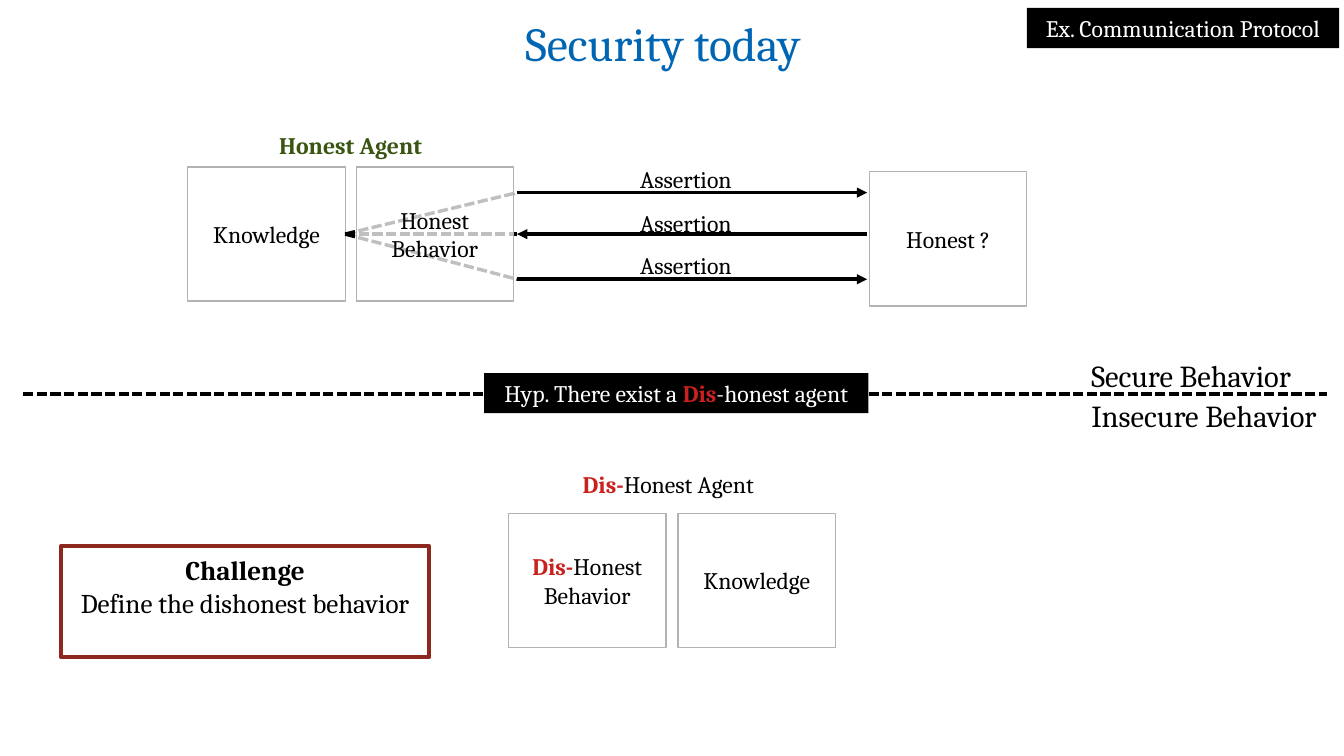
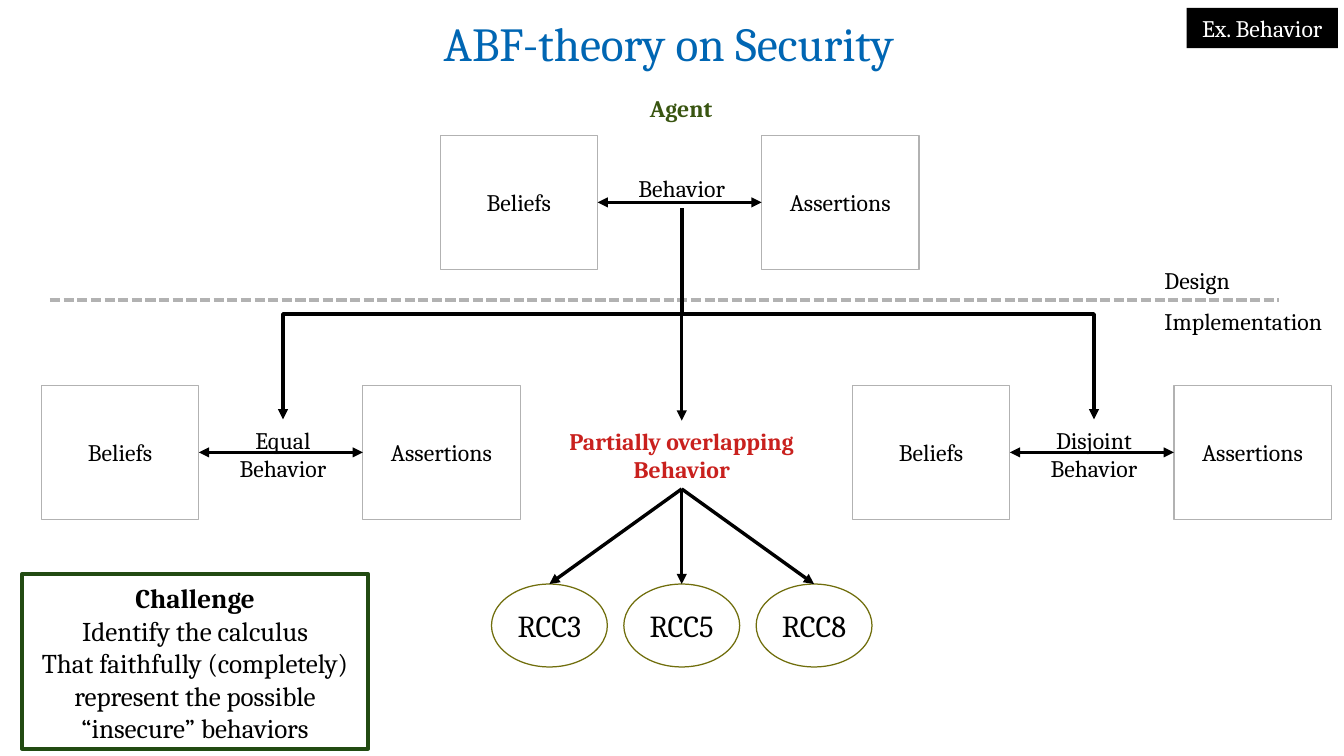
from dataclasses import dataclass

from lxml.etree import SubElement
from pptx import Presentation
from pptx.dml.color import RGBColor
from pptx.enum.dml import MSO_LINE
from pptx.enum.shapes import MSO_CONNECTOR as LINK, MSO_SHAPE as SHAPE
from pptx.enum.text import MSO_ANCHOR as ANCHOR, PP_ALIGN as ALIGN
from pptx.oxml.ns import qn
from pptx.util import Inches, Pt

# The grid has ten columns and ten rows to the inch.
COLUMNS, ROWS = 110.2, 62
CARD_W, CARD_H = 12.9, 11
LABEL_H = 3.3
PAIR_PITCH, PAIR_MIDDLE = 26.35, 19.8


@dataclass(frozen=True)
class Theme:
    font: str = "Cambria"
    title: str = "0066B3"
    ink: str = "000000"
    paper: str = "FFFFFF"
    honest: str = "395511"
    alert: str = "C9211E"
    border: str = "B2B2B2"
    oval: str = "706E0C"
    risk: str = "8D281E"
    goal: str = "224B12"
    title_size: int = 28
    large: int = 18
    medium: int = 16
    normal: int = 14


THEME = Theme()
DIS = dict(color=THEME.alert, bold=True)


def grid(cells):
    return Inches(cells / 10)


def rgb(value):
    return RGBColor.from_string(value)


def write(frame, lines, size=THEME.normal, color=THEME.ink, bold=False, align=ALIGN.LEFT):
    """Fill a frame; a line is a string or a list of (text, format) spans."""
    for index, line in enumerate(lines):
        para = frame.paragraphs[0] if index == 0 else frame.add_paragraph()
        para.alignment = align
        for text, style in [(line, {})] if isinstance(line, str) else line:
            span = para.add_run()
            span.text = text
            span.font.name = THEME.font
            span.font.size = Pt(size)
            span.font.bold = style.get("bold", bold)
            span.font.color.rgb = rgb(style.get("color", color))


def box(page, at, lines, kind=None, fill=None, opacity=None, border=None,
        weight=0, anchor=ANCHOR.TOP, inset=(1, 0.5), **style):
    """Place text, in a preset shape when a kind is given."""
    place = [grid(cells) for cells in at]
    if kind is None:
        shape = page.shapes.add_textbox(*place)
    else:
        shape = page.shapes.add_shape(kind, *place)
        shape.shadow.inherit = False
        if fill:
            shape.fill.solid()
            shape.fill.fore_color.rgb = rgb(fill)
        else:
            shape.fill.background()
        if opacity:
            color = shape.fill._xPr.find(qn("a:solidFill"))[0]
            SubElement(color, qn("a:alpha"), val=str(opacity * 1000))
        if border:
            shape.line.color.rgb = rgb(border)
            shape.line.width = Pt(weight)
        else:
            shape.line.fill.background()
        style.setdefault("align", ALIGN.CENTER)
    frame = shape.text_frame
    frame.word_wrap = True
    frame.vertical_anchor = anchor
    frame.margin_left = frame.margin_right = grid(inset[0])
    frame.margin_top = frame.margin_bottom = grid(inset[1])
    write(frame, lines, **style)
    return shape


def label(page, left, top, width, *lines, height=LABEL_H, **style):
    return box(page, (left, top, width, height), lines, **style)


def card(page, left, top, *lines, veil=False):
    """Draw a bordered box; a veil dims the lines behind it."""
    fill = dict(fill=THEME.paper, opacity=75) if veil else {}
    return box(page, (left, top, CARD_W, CARD_H), lines, SHAPE.RECTANGLE,
               border=THEME.border, anchor=ANCHOR.MIDDLE, **fill)


def tag(page, left, top, width, line):
    box(page, (left, top, width, LABEL_H), [line], SHAPE.RECTANGLE,
        fill=THEME.ink, color=THEME.paper)


def challenge(page, at, border, *lines):
    box(page, at, [[("Challenge", dict(bold=True))], *lines], SHAPE.RECTANGLE,
        border=border, weight=2.3, inset=(1.1, 0.6), size=THEME.medium)


def link(page, start, end, kind=LINK.STRAIGHT, head=False, tail=False,
         dashed=False, color=THEME.ink):
    """Draw a line; an end is a (column, row) point or a (shape, site) joint."""
    joints = [isinstance(point[0], (int, float)) for point in (start, end)]
    first, last = [point if free else (0, 0)
                   for point, free in zip((start, end), joints)]
    line = page.shapes.add_connector(kind, *[grid(c) for c in (*first, *last)])
    if not joints[0]:
        line.begin_connect(*start)
    if not joints[1]:
        line.end_connect(*end)
    line.line.color.rgb = rgb(color)
    line.line.width = Pt(0)
    if dashed:
        line.line.dash_style = MSO_LINE.SQUARE_DOT
    outline = line.line._get_or_add_ln()
    for name, wanted in (("a:headEnd", head), ("a:tailEnd", tail)):
        if wanted:
            SubElement(outline, qn(name), type="triangle")
    SubElement(line._element.spPr, qn("a:effectLst"))
    return line


def branch(page, start, end):
    """Draw an elbow arrow that leaves and arrives vertically."""
    (x1, y1), (x2, y2) = start, end
    middle_x, middle_y = (x1 + x2) / 2, (y1 + y2) / 2
    half_w, half_h = abs(x2 - x1) / 2, (y2 - y1) / 2
    side = 1 if x2 > x1 else -1
    line = link(page, (middle_x + side * half_h, middle_y - half_w),
                (middle_x - side * half_h, middle_y + half_w),
                kind=LINK.ELBOW, tail=True)
    line._element.spPr.find(qn("a:xfrm")).set("rot", str((180 + side * 90) * 60000))


def behavior_pair(page, left, top, lines, width, label_top):
    """Draw beliefs and assertions joined by a labelled double arrow."""
    beliefs = card(page, left, top, "Beliefs")
    assertions = card(page, left + PAIR_PITCH, top, "Assertions", veil=True)
    link(page, (beliefs, 3), (assertions, 1), head=True, tail=True)
    return label(page, left + PAIR_MIDDLE - width / 2, label_top, width, *lines,
                 height=LABEL_H if len(lines) == 1 else 5.6, align=ALIGN.CENTER)


def new_page(deck, title, left, width, tag_left, tag_width, tag_text):
    page = deck.slides.add_slide(deck.slide_layouts[6])
    label(page, left, 0.65, width, title, height=5.5,
          size=THEME.title_size, color=THEME.title)
    tag(page, tag_left, 0.65, tag_width, tag_text)
    return page


def security_today(deck):
    page = new_page(deck, "Security today", 42.1, 26, 84.2, 25.6,
                    "Ex. Communication Protocol")
    link(page, (1.9, 32.3), (108.8, 32.3), dashed=True)

    label(page, 21.9, 10.2, 14, "Honest Agent", color=THEME.honest, bold=True)
    knowledge = card(page, 15.4, 13.7, "Knowledge")
    messages = ((13, 15.8, False), (16.6, 19.2, True), (20.1, 22.9, False))
    for text_top, row, incoming in messages:
        label(page, 51.5, text_top, 9.9, "Assertion")
        link(page, (42.4, row), (71.1, row), head=incoming, tail=not incoming)
        link(page, (knowledge, 3), (42.4, row), dashed=True)
    card(page, 29.2, 13.7, "Honest", "Behavior", veil=True)
    card(page, 71.3, 14.1, "Honest ?")

    tag(page, 39.7, 30.6, 31.5,
        [("Hyp. There exist a ", {}), ("Dis", DIS), ("-honest agent", {})])
    label(page, 88.5, 28.8, 19.3, "Secure Behavior", height=3.9, size=THEME.large)
    label(page, 88.5, 32.1, 21.4, "Insecure Behavior", height=3.9, size=THEME.large)

    label(page, 46.8, 38, 16.7, [("Dis-", DIS), ("Honest Agent", {})])
    card(page, 55.6, 42.1, "Knowledge")
    card(page, 41.7, 42.1, [("Dis-", DIS), ("Honest", {})], "Behavior", veil=True)
    challenge(page, (5, 44.8, 30.2, 9.1), THEME.risk, "Define the dishonest behavior")


def theory_on_security(deck):
    page = new_page(deck, "ABF-theory on Security", 35.4, 41, 97.3, 12.4,
                    "Ex. Behavior")
    label(page, 52.3, 7.2, 7.2, "Agent", color=THEME.honest, bold=True)
    design = behavior_pair(page, 36.1, 11.1, ["Behavior"], 9.5, 13.8)
    link(page, (4.1, 24.6), (104.9, 24.6), dashed=True, color=THEME.border)
    label(page, 94.5, 21.3, 7.6, "Design")
    label(page, 94.5, 24.7, 15.4, "Implementation")

    hub = 36.1 + PAIR_MIDDLE
    for left, name in ((3.4, "Equal"), (69.9, "Disjoint")):
        behavior_pair(page, left, 31.6, [name, "Behavior"], 9.5, 34.4)
        branch(page, (hub, 17.1), (left + PAIR_MIDDLE, 34.4))
    overlap = label(page, hub - 10.4, 34.5, 20.8, "Partially overlapping", "Behavior",
                    height=5.6, color=THEME.alert, bold=True, align=ALIGN.CENTER)
    link(page, (design, 2), (overlap, 0), tail=True)

    for step, calculus in enumerate(("RCC3", "RCC5", "RCC8"), start=-1):
        oval = box(page, (hub + step * 10.85 - 4.75, 47.9, 9.5, 6.8), [calculus],
                   SHAPE.OVAL, border=THEME.oval, anchor=ANCHOR.MIDDLE,
                   size=THEME.large, inset=(0, 0.5))
        link(page, (overlap, 2), (oval, 0), tail=True)
    challenge(page, (1.8, 47.1, 28.4, 14.3), THEME.goal, "Identify the calculus",
              "That faithfully (completely) represent the possible “insecure” behaviors")


def main():
    deck = Presentation()
    deck.slide_width, deck.slide_height = grid(COLUMNS), grid(ROWS)
    security_today(deck)
    theory_on_security(deck)
    deck.save("out.pptx")


if __name__ == "__main__":
    main()
